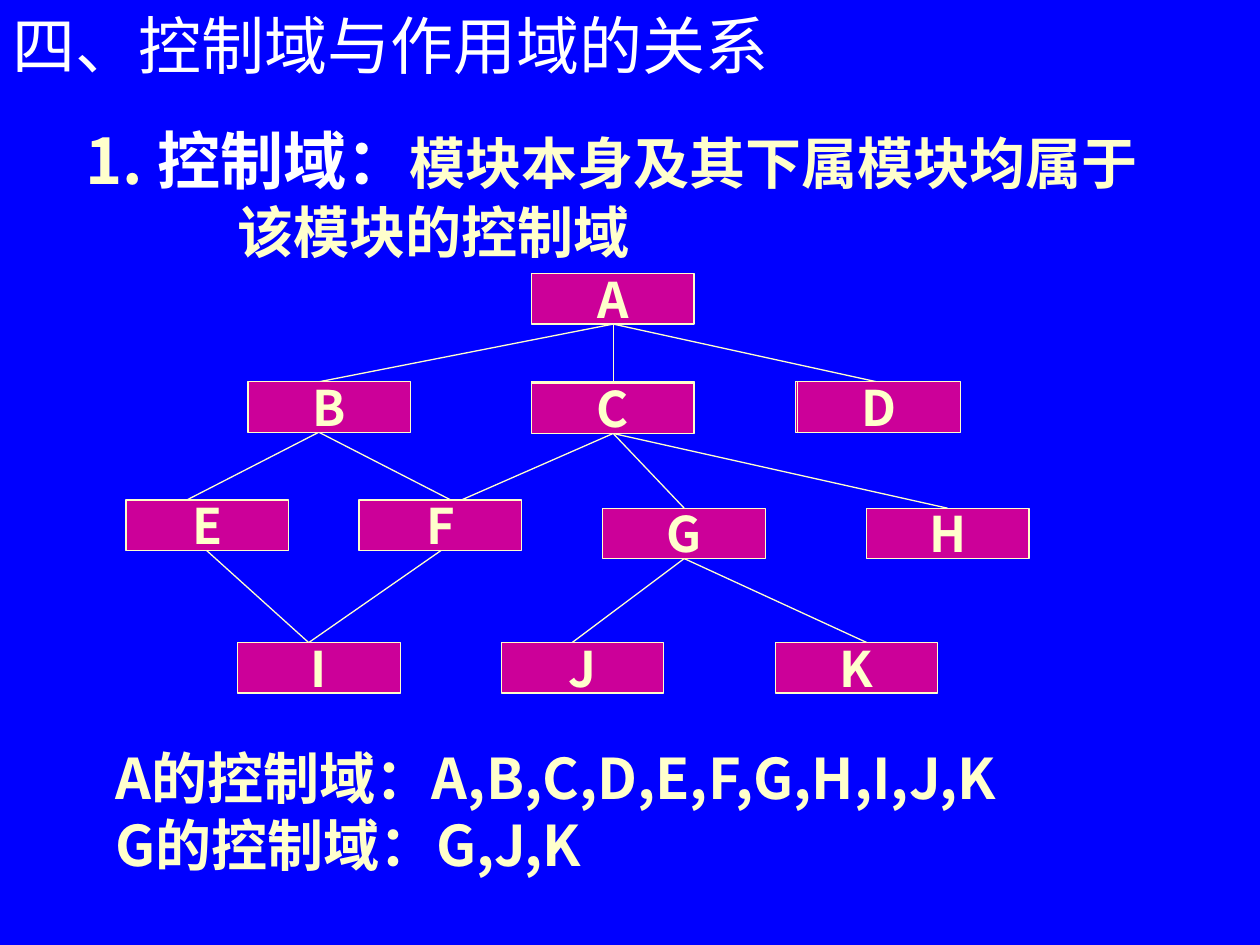
from dataclasses import dataclass

from lxml import etree
from pptx import Presentation
from pptx.dml.color import RGBColor
from pptx.enum.shapes import MSO_CONNECTOR, MSO_SHAPE
from pptx.enum.text import MSO_ANCHOR, PP_ALIGN
from pptx.oxml.ns import qn
from pptx.util import Pt

RECT = MSO_SHAPE.RECTANGLE
LINE = MSO_CONNECTOR.STRAIGHT
LEFT, MID = PP_ALIGN.LEFT, PP_ALIGN.CENTER
TOP, CORE = MSO_ANCHOR.TOP, MSO_ANCHOR.MIDDLE


@dataclass(frozen=True)
class Theme:
    """Colours, type sizes and line width of the slide."""
    font: str = "Noto Sans CJK SC"
    blue: str = "0000FF"
    pink: str = "CC0099"
    cream: str = "FFFFCC"
    white: str = "FFFFFF"
    head: int = 36
    body: int = 32
    label: int = 28
    rule: float = 0.75


def put(item, vals):
    """Set each named value on the item."""
    for key, val in vals.items():
        setattr(item, key, val)


class Deck:
    """Draws styled elements on the current slide."""

    def __init__(self, show, theme):
        """Add a blank slide with a plain ground."""
        self.theme = theme
        self.slide = show.slides.add_slide(show.slide_layouts[6])
        self.shapes = self.slide.shapes
        self.tint(self.slide.background.fill, theme.blue)

    def tint(self, fill, color):
        """Make a fill solid in one colour."""
        fill.solid()
        fill.fore_color.rgb = RGBColor.from_string(color)

    def letter(self, shape, paras, align=LEFT, anchor=TOP, wrap=False):
        """Fill a shape with paragraphs of (indent, runs)."""
        frame = shape.text_frame
        put(frame, {"word_wrap": wrap, "vertical_anchor": anchor})
        for i, (indent, runs) in enumerate(paras):
            para = frame.add_paragraph() if i else frame.paragraphs[0]
            para.alignment = align
            if indent:
                para._p.get_or_add_pPr().set("marL", str(Pt(indent)))
            for words, size, color, bold in runs:
                run = para.add_run()
                run.text = words
                put(run.font, {"name": self.theme.font, "size": Pt(size), "bold": bold})
                self.tint(run.font.fill, color)
                east = etree.SubElement(run._r.get_or_add_rPr(), qn("a:ea"))
                east.set("typeface", self.theme.font)

    def panel(self, spot, color):
        """Add a filled rectangle without outline or shadow."""
        shape = self.shapes.add_shape(RECT, *map(Pt, spot))
        shape.shadow.inherit = False
        self.tint(shape.fill, color)
        shape.line.fill.background()
        return shape

    def title(self, spot, words):
        """Add the full panel that carries the heading."""
        look = self.theme
        runs = [(words, look.head, look.white, False)]
        self.letter(self.panel(spot, look.blue), [(0, runs)], wrap=True)

    def text(self, spot, paras):
        """Add a text box."""
        self.letter(self.shapes.add_textbox(*map(Pt, spot)), paras)

    def node(self, spot, name=""):
        """Add an outlined module box."""
        look = self.theme
        shape = self.panel(spot, look.pink)
        self.tint(shape.line.fill, look.cream)
        shape.line.width = Pt(look.rule)
        if name:
            runs = [(name, look.label, look.cream, True)]
            self.letter(shape, [(0, runs)], MID, CORE)

    def link(self, *ends):
        """Add a thin straight line."""
        line = self.shapes.add_connector(LINE, *map(Pt, ends))
        self.tint(line.line.fill, self.theme.cream)
        line.line.width = Pt(self.theme.rule)
        etree.SubElement(line._element.spPr, qn("a:effectLst"))


WIDE, HIGH = 92.9, 28.8
NODES = {
    "A": (303.8, 156.4), "B": (141.8, 218.2), "C": (303.8, 218.9),
    "D": (455.8, 218.2), "E": (72, 285.8), "F": (205.2, 285.8),
    "G": (344.4, 290.4), "H": (495.2, 290.4), "I": (135.8, 367.2),
    "J": (286.4, 367.2), "K": (443, 367.2),
}
BACKS = [(454.5, 218.2), (303.8, 218.2)]
LINKS = [
    ("A", 350.4, "C", 350.4), ("A", 350.4, "B", 182.2), ("A", 350.4, "D", 501.1),
    ("B", 182.2, "E", 106.6), ("B", 182.2, "F", 257.8),
    ("C", 350.4, "G", 391), ("C", 350.4, "F", 263.5), ("C", 350.4, "H", 541.4),
    ("F", 252, "I", 176.4), ("E", 118.1, "I", 176.4),
    ("G", 391, "J", 326.9), ("G", 391, "K", 495.4),
]


def main():
    """Build the slide and save it."""
    show = Presentation()
    put(show, {"slide_width": Pt(720), "slide_height": Pt(540)})
    look = Theme()
    deck = Deck(show, look)
    deck.title((0, 0, 720, 540), "四、控制域与作用域的关系")
    deck.text((41.8, 66.2, 637, 133), [
        (0, [("1. ", look.head, look.cream, True),
             ("控制域：", look.head, look.white, True),
             ("模块本身及其下属模块均属于", look.body, look.cream, True)]),
        (87, [("该模块的控制域", look.body, look.cream, True)]),
    ])
    for left, top in BACKS:
        deck.node((left, top, WIDE, HIGH))
    for start, x, end, far in LINKS:
        deck.link(x, NODES[start][1] + HIGH, far, NODES[end][1])
    for name, (left, top) in NODES.items():
        deck.node((left, top, WIDE, HIGH), name)
    notes = ["A的控制域：A,B,C,D,E,F,G,H,I,J,K", "G的控制域：G,J,K"]
    deck.text((59, 421.2, 535, 85),
              [(0, [(note, look.body, look.cream, True)]) for note in notes])
    show.save("out.pptx")


if __name__ == "__main__":
    main()
